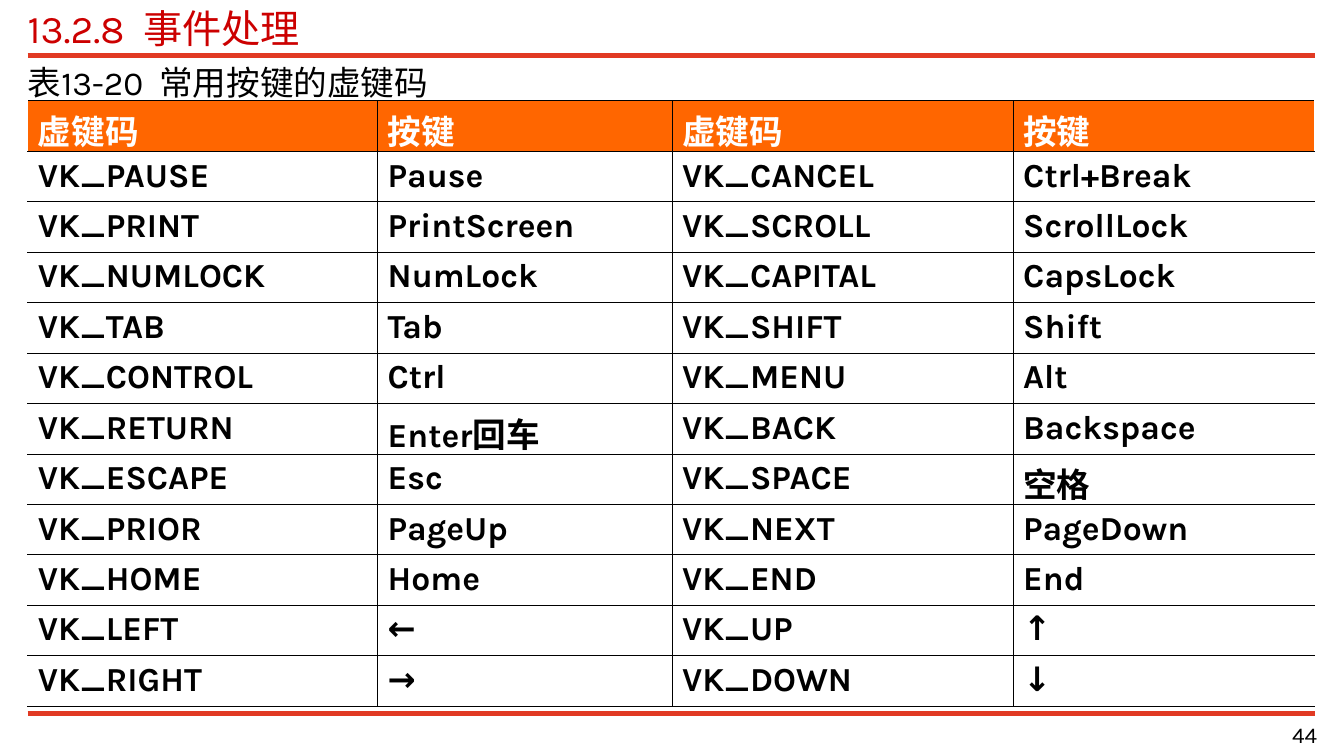
from lxml.etree import SubElement
from pptx import Presentation
from pptx.dml.color import RGBColor
from pptx.enum.shapes import MSO_CONNECTOR
from pptx.enum.text import MSO_ANCHOR, PP_ALIGN
from pptx.oxml.ns import qn
from pptx.util import Cm, Pt

RED = RGBColor(0xCC, 0x00, 0x00)
RULE_RED = RGBColor(0xE1, 0x3A, 0x23)
ORANGE = RGBColor(0xFF, 0x66, 0x00)
BLACK = RGBColor(0x00, 0x00, 0x00)
WHITE = RGBColor(0xFF, 0xFF, 0xFF)
FONT = "Karla"

LEFT, WIDTH = Cm(0.7), Cm(32.45)
COLUMN_WIDTHS = [Cm(8.82), Cm(7.42), Cm(8.6), Cm(7.6)]
ROW_HEIGHT = Cm(1.27)
THIN, THICK = Pt(0.45), Pt(0.62)

KEY_CODES = [
    ("虚键码", "按键", "虚键码", "按键"),
    ("VK_PAUSE", "Pause", "VK_CANCEL", "Ctrl+Break"),
    ("VK_PRINT", "PrintScreen", "VK_SCROLL", "ScrollLock"),
    ("VK_NUMLOCK", "NumLock", "VK_CAPITAL", "CapsLock"),
    ("VK_TAB", "Tab", "VK_SHIFT", "Shift"),
    ("VK_CONTROL", "Ctrl", "VK_MENU", "Alt"),
    ("VK_RETURN", "Enter回车", "VK_BACK", "Backspace"),
    ("VK_ESCAPE", "Esc", "VK_SPACE", "空格"),
    ("VK_PRIOR", "PageUp", "VK_NEXT", "PageDown"),
    ("VK_HOME", "Home", "VK_END", "End"),
    ("VK_LEFT", "←", "VK_UP", "↑"),
    ("VK_RIGHT", "→", "VK_DOWN", "↓"),
]


def write(frame, text, size=24, color=BLACK, bold=False, align=PP_ALIGN.LEFT):
    para = frame.paragraphs[0]
    para.alignment = align
    span = para.add_run()
    span.text = text
    span.font.name = FONT
    span.font.size = Pt(size)
    span.font.bold = bold
    span.font.color.rgb = color


def add_text(page, text, left, top, width, height, anchor=MSO_ANCHOR.TOP, **style):
    frame = page.shapes.add_textbox(left, top, width, height).text_frame
    frame.word_wrap = True
    frame.vertical_anchor = anchor
    frame.margin_left = frame.margin_right = 0
    frame.margin_top = frame.margin_bottom = 0
    write(frame, text, **style)


def add_rule(page, left, top, width, weight):
    rule = page.shapes.add_connector(
        MSO_CONNECTOR.STRAIGHT, left, top, left + width, top)
    rule.line.color.rgb = RULE_RED
    rule.line.width = Pt(weight)
    SubElement(rule._element.spPr, qn("a:effectLst"))


def add_border(cell, side, width):
    """Draw one side of a cell; call before the cell's fill is set."""
    line = SubElement(cell._tc.get_or_add_tcPr(), qn(f"a:ln{side}"), w=str(width))
    fill = SubElement(line, qn("a:solidFill"))
    SubElement(fill, qn("a:srgbClr"), val=str(BLACK))


def add_header(page, left, top, width):
    add_text(page, "13.2.8  事件处理", left, top, width, Cm(1.2),
             anchor=MSO_ANCHOR.MIDDLE, size=28, color=RED)
    add_rule(page, left, top + Cm(1.3), width, 4)


def add_key_table(page, left, top, width):
    add_text(page, "表13-20  常用按键的虚键码", left, top, width, Cm(1))
    last_row, last_column = len(KEY_CODES) - 1, len(COLUMN_WIDTHS) - 1
    table = page.shapes.add_table(
        len(KEY_CODES), len(COLUMN_WIDTHS), left, top + Cm(0.99),
        width, ROW_HEIGHT * len(KEY_CODES)).table
    for column, column_width in zip(table.columns, COLUMN_WIDTHS):
        column.width = column_width
    for r, texts in enumerate(KEY_CODES):
        table.rows[r].height = ROW_HEIGHT
        for c, text in enumerate(texts):
            cell = table.cell(r, c)
            if c > 0:
                add_border(cell, "L", THIN)
            if c < last_column:
                add_border(cell, "R", THIN)
            add_border(cell, "T", THICK if r <= 1 else THIN)
            add_border(cell, "B", THICK if r in (0, last_row) else THIN)
            if r == 0:
                cell.fill.solid()
                cell.fill.fore_color.rgb = ORANGE
            else:
                cell.fill.background()
            write(cell.text_frame, text, bold=True,
                  color=WHITE if r == 0 else BLACK)


def add_footer(page, left, top, width):
    add_rule(page, left, top, width, 3)
    number_width = Cm(6.8)
    add_text(page, "44", left + width - number_width + Cm(0.05), top + Cm(0.2),
             number_width, Cm(0.8), size=16, align=PP_ALIGN.RIGHT)


def main():
    deck = Presentation()
    deck.slide_width, deck.slide_height = Cm(33.88), Cm(19.05)
    page = deck.slides.add_slide(deck.slide_layouts[6])
    add_header(page, LEFT, Cm(0.1), WIDTH)
    add_key_table(page, LEFT, Cm(1.55), WIDTH)
    add_footer(page, LEFT, Cm(17.98), WIDTH)
    deck.save("out.pptx")


if __name__ == "__main__":
    main()
